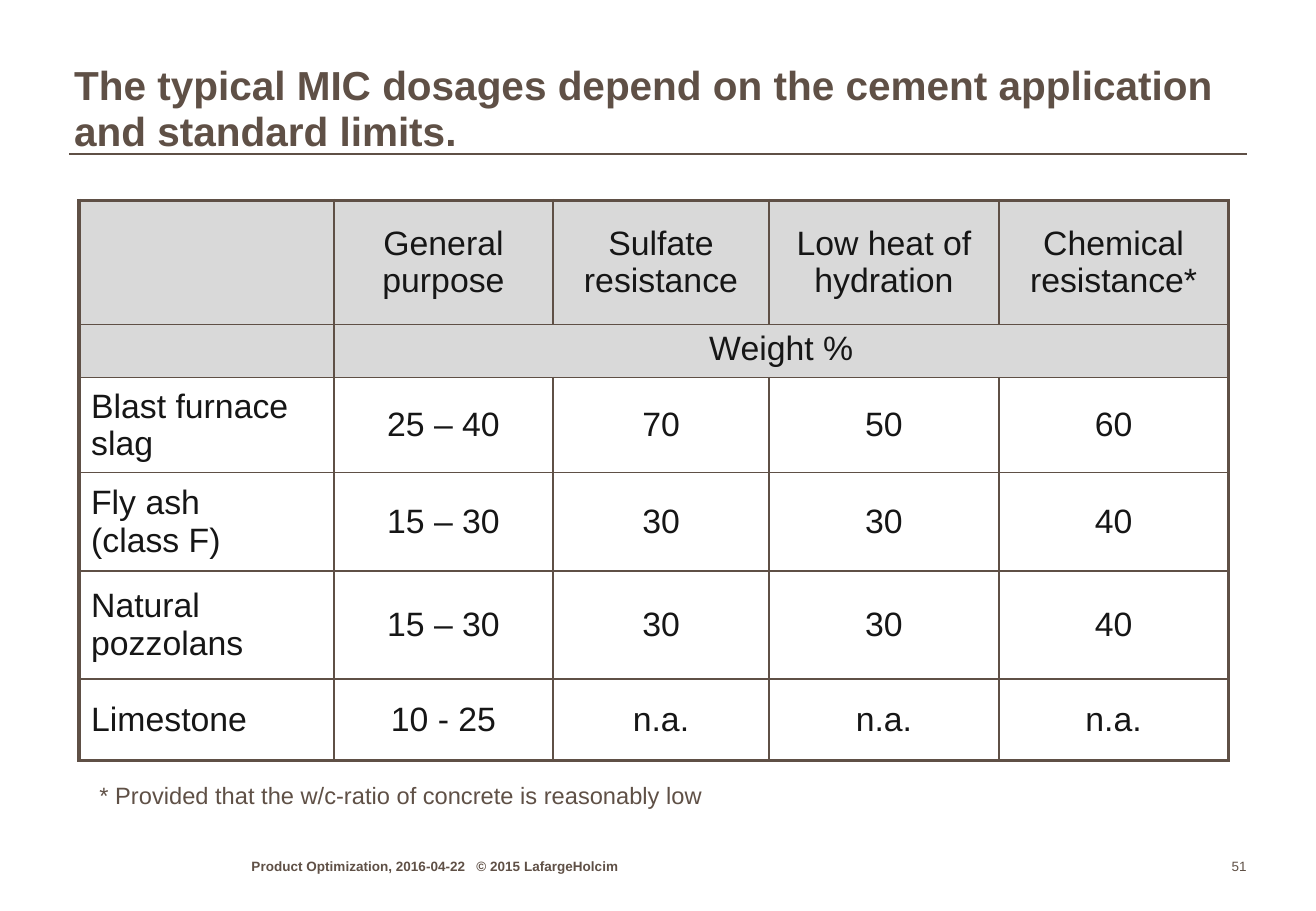
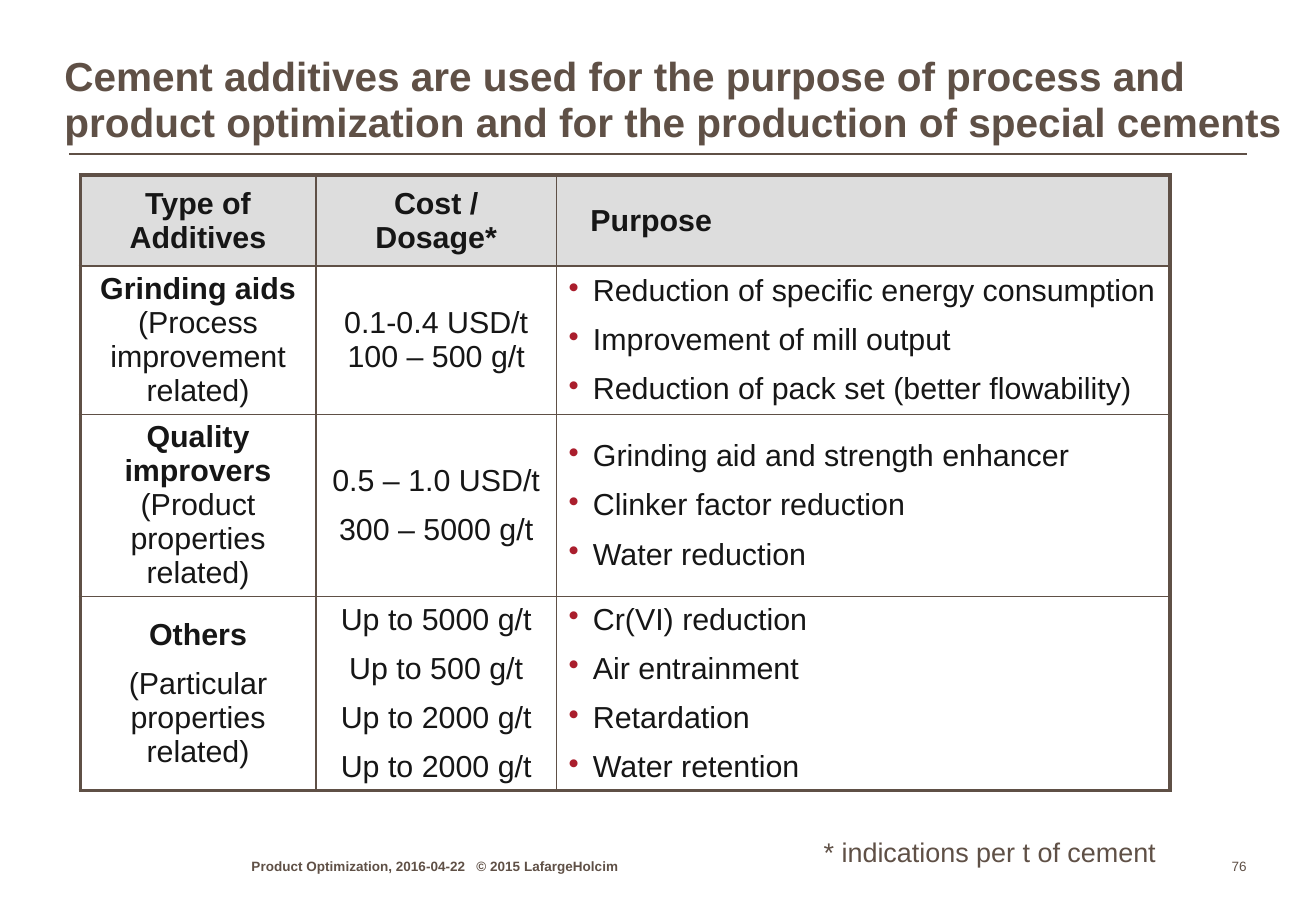
from lxml.etree import SubElement
from pptx import Presentation
from pptx.dml.color import RGBColor
from pptx.enum.shapes import MSO_CONNECTOR
from pptx.enum.text import MSO_ANCHOR, MSO_AUTO_SIZE, PP_ALIGN
from pptx.oxml.ns import qn
from pptx.util import Inches, Pt

FONT = "Arial"
BROWN, INK, RED = "5F5046", "161616", "AA1E2D"
FOOTER = "Product Optimization, 2016-04-22   © 2015 LafargeHolcim"
LEFT, MID, RIGHT = PP_ALIGN.LEFT, PP_ALIGN.CENTER, PP_ALIGN.RIGHT


def color(value):
    return RGBColor.from_string(value)


class Deck:
    def __init__(self, width, height):
        self.file = Presentation()
        self.file.slide_width = Inches(width)
        self.file.slide_height = Inches(height)
        self.slide = None

    def start(self, title, box, anchor, page):
        """Add a slide with its title, rule and footer."""
        self.slide = self.file.slides.add_slide(self.file.slide_layouts[5])
        shape = self.slide.shapes.title
        shape.left, shape.top, shape.width, shape.height = map(Inches, box)
        self.frame(shape.text_frame, title, 24, anchor=anchor, bold=True,
                   inset=(0, 0, 0, 0.01))
        shape.text_frame.paragraphs[0].line_spacing = 0.95
        self.rule(0.57, 10.26, 1.27)
        foot = dict(size=8, anchor=MSO_ANCHOR.BOTTOM, inset=(0, 0, 0, 0))
        self.text(FOOTER, (2.07, 7.02, 3.47, 0.18), bold=True, **foot)
        self.text(page, (9.79, 7.02, 0.47, 0.18), align=RIGHT, **foot)

    def rule(self, left, right, top):
        line = self.slide.shapes.add_connector(
            MSO_CONNECTOR.STRAIGHT, Inches(left), Inches(top), Inches(right), Inches(top))
        line.line.color.rgb = color(BROWN)
        line.line.width = Pt(1)
        SubElement(line._element.spPr, qn("a:effectLst"))

    def style(self, para, size, tint, bold, align):
        para.alignment = align
        for run in para.runs:
            font = run.font
            font.name, font.size, font.bold = FONT, Pt(size), bold
            font.color.rgb = color(tint)

    def frame(self, frame, text, size, anchor=MSO_ANCHOR.TOP, bold=False,
              align=LEFT, inset=(0.1, 0.05, 0.1, 0.05), wrap=True):
        frame.text = text
        frame.word_wrap = wrap
        frame.auto_size = MSO_AUTO_SIZE.NONE
        frame.vertical_anchor = anchor
        (frame.margin_left, frame.margin_top,
         frame.margin_right, frame.margin_bottom) = map(Inches, inset)
        self.style(frame.paragraphs[0], size, BROWN, bold, align)

    def text(self, text, box, size, **look):
        shape = self.slide.shapes.add_textbox(*map(Inches, box))
        self.frame(shape.text_frame, text, size, **look)

    def table(self, spot, cols, rows):
        shape = self.slide.shapes.add_table(
            len(rows), len(cols), *map(Inches, (*spot, sum(cols), sum(rows))))
        table = shape.table
        table.first_row = table.horz_banding = False
        for col, width in zip(table.columns, cols):
            col.width = Inches(width)
        for row, height in zip(table.rows, rows):
            row.height = Inches(height)
        return table

    def grid(self, table, fill, heads):
        """Heavy outer frame, thin inner lines, filled head rows."""
        tall, wide = len(table.rows), len(table.columns)
        for y in range(tall):
            for x in range(wide):
                cell = table.cell(y, x)
                last = x + (cell.span_width if cell.is_merge_origin else 1)
                edges = {"L": x == 0, "R": last == wide, "T": y == 0, "B": y == tall - 1}
                props = cell._tc.get_or_add_tcPr()
                for side, outer in edges.items():
                    line = SubElement(props, qn("a:ln" + side), w=str(Pt(2.25 if outer else 1)))
                    solid = SubElement(line, qn("a:solidFill"))
                    SubElement(solid, qn("a:srgbClr"), val=BROWN)
                if y < heads:
                    cell.fill.solid()
                    cell.fill.fore_color.rgb = color(fill)
                else:
                    cell.fill.background()

    def cell(self, cell, text, size, align=MID, bold=False, lead=False,
             bullet=False, inset=(0.1, 0.05, 0.1, 0.05), anchor=MSO_ANCHOR.MIDDLE):
        """Fill a cell; each item of a list is a paragraph."""
        items = [text] if isinstance(text, str) else text
        frame = cell.text_frame
        cell.vertical_anchor = anchor
        (cell.margin_left, cell.margin_top,
         cell.margin_right, cell.margin_bottom) = map(Inches, inset)
        for i, item in enumerate(items):
            para = frame.add_paragraph() if i else frame.paragraphs[0]
            para.text = item
            if i:
                para.space_before = Pt(size / 2)
            if bullet:
                self.bullet(para)
            self.style(para, size, INK, bold, align)
        if lead:
            frame.paragraphs[0].runs[0].font.bold = True

    def bullet(self, para):
        props = para._p.get_or_add_pPr()
        props.set("marL", str(Inches(0.2)))
        props.set("indent", str(Inches(-0.2)))
        tint = SubElement(props, qn("a:buClr"))
        SubElement(tint, qn("a:srgbClr"), val=RED)
        SubElement(props, qn("a:buChar"), char="•")


def doses(deck):
    deck.start("The typical MIC dosages depend on the cement application and standard limits.",
               (0.61, 0.47, 9.6, 0.87), MSO_ANCHOR.MIDDLE, "51")
    table = deck.table((0.65, 1.65), (2.1, 1.8, 1.78, 1.89, 1.89),
                       (1.02, 0.44, 0.78, 0.81, 0.89, 0.67))
    table.cell(1, 1).merge(table.cell(1, 4))
    deck.grid(table, "D9D9D9", 2)
    data = (
        ("", "General purpose", "Sulfate resistance", "Low heat of hydration",
         "Chemical resistance*"),
        ("", "Weight %"),
        ("Blast furnace slag", "25 – 40", "70", "50", "60"),
        ("Fly ash \n(class F)", "15 – 30", "30", "30", "40"),
        ("Natural pozzolans", "15 – 30", "30", "30", "40"),
        ("Limestone", "10 - 25", "n.a.", "n.a.", "n.a."),
    )
    for y, row in enumerate(data):
        for x, text in enumerate(row):
            deck.cell(table.cell(y, x), text, 20, align=MID if x else LEFT,
                      anchor=MSO_ANCHOR.TOP if y == 1 else MSO_ANCHOR.MIDDLE)
    deck.text("* Provided that the w/c-ratio of concrete is reasonably low",
              (0.72, 6.38, 8.18, 0.33), 14)


def uses(deck):
    deck.start("Cement additives are used for the purpose of process and product "
               "optimization and for the production of special cements",
               (0.53, 0.67, 10.17, 0.55), MSO_ANCHOR.BOTTOM, "76")
    table = deck.table((0.66, 1.44), (1.94, 1.98, 5.05), (0.75, 1.17, 1.43, 1.57))
    deck.grid(table, "DDDDDD", 1)
    # Head row
    for x, text in enumerate(("Type of\nAdditives", "Cost /\nDosage*", "Purpose")):
        last = x == 2
        deck.cell(table.cell(0, x), text, 18, bold=True, align=LEFT if last else MID,
                  inset=(0.28 if last else 0, 0, 0, 0))
    # Additive rows
    data = (
        ("Grinding aids\n(Process improvement related)",
         "0.1-0.4 USD/t\n100 – 500 g/t",
         ("Reduction of specific energy consumption", "Improvement of mill output",
          "Reduction of pack set (better flowability)")),
        ("Quality improvers\n(Product properties related)",
         ("0.5 – 1.0 USD/t", "300 – 5000 g/t"),
         ("Grinding aid and strength enhancer", "Clinker factor reduction",
          "Water reduction")),
        (("Others", "(Particular properties related)"),
         ("Up to 5000 g/t", "Up to 500 g/t", "Up to 2000 g/t", "Up to 2000 g/t"),
         ("Cr(VI) reduction", "Air entrainment", "Retardation", "Water retention")),
    )
    for y, (kind, cost, goals) in enumerate(data, 1):
        deck.cell(table.cell(y, 0), kind, 18, lead=True)
        deck.cell(table.cell(y, 1), cost, 18)
        deck.cell(table.cell(y, 2), goals, 18, align=LEFT, bullet=True)
    deck.text("* indications per t of cement", (6.68, 6.83, 2.95, 0.37), 16, wrap=False)


def main():
    deck = Deck(10.83, 7.5)
    doses(deck)
    uses(deck)
    deck.file.save("out.pptx")


if __name__ == "__main__":
    main()
